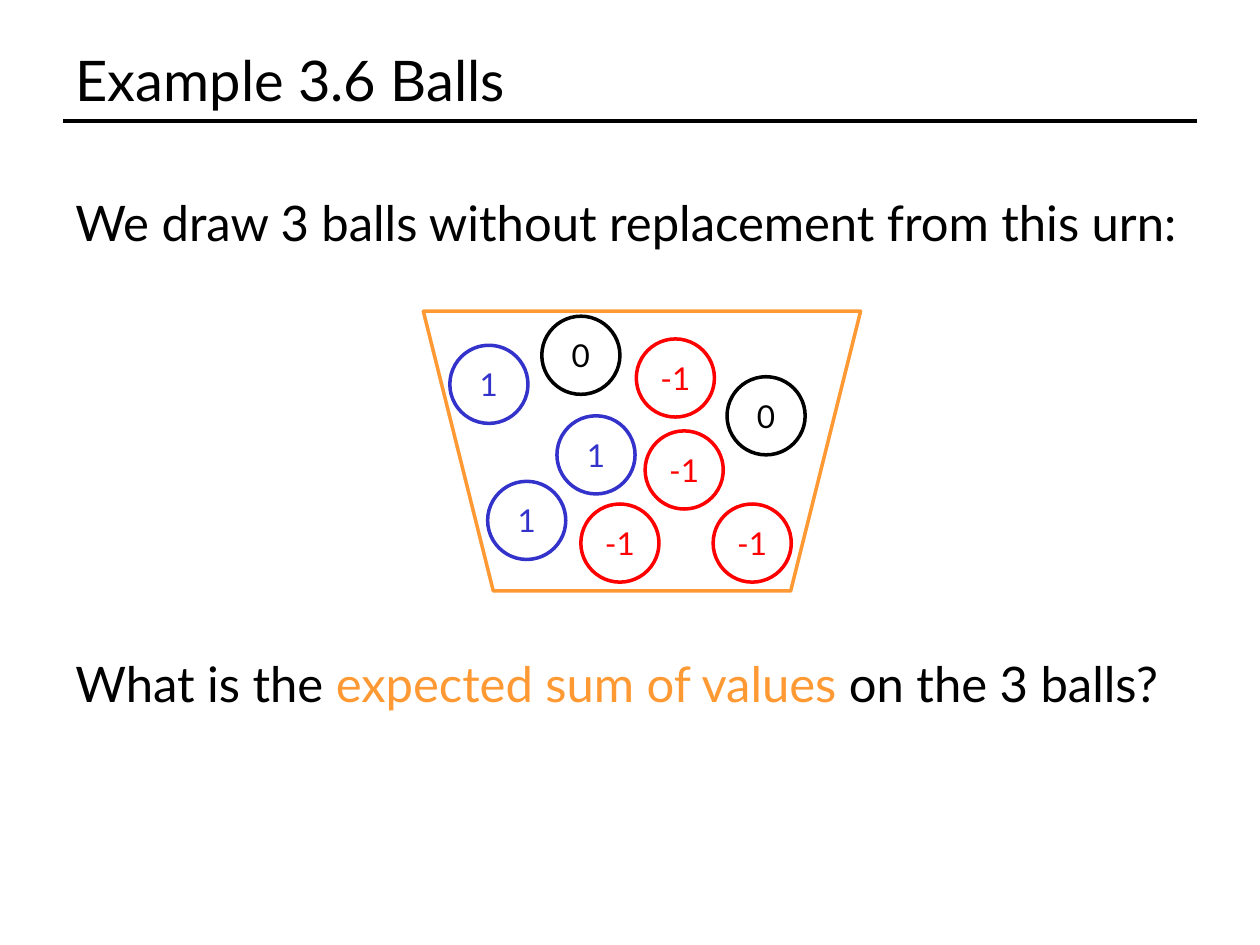
from pptx import Presentation
from pptx.dml.color import RGBColor
from pptx.enum.shapes import MSO_CONNECTOR, MSO_SHAPE
from pptx.enum.text import MSO_ANCHOR, MSO_AUTO_SIZE, PP_ALIGN
from pptx.oxml.ns import qn
from pptx.util import Inches, Pt
from lxml import etree

LINE = MSO_CONNECTOR.STRAIGHT
OVAL, URN = MSO_SHAPE.OVAL, MSO_SHAPE.TRAPEZOID
MIDDLE, GROW = MSO_ANCHOR.MIDDLE, MSO_AUTO_SIZE.SHAPE_TO_FIT_TEXT
LEFT, CENTER = PP_ALIGN.LEFT, PP_ALIGN.CENTER

FONT = "Lato"
BLACK, RED, BLUE, ORANGE = "000000", "FF0000", "3333CC", "FF9933"
EDGE, WIDE, BALL = 0.5, 9, 0.62

TITLE = "Example 3.6 Balls"
SETUP = [("We draw 3 balls without replacement from this urn:", BLACK)]
ASK = [
    ("What is the ", BLACK),
    ("expected sum of values", ORANGE),
    (" on the 3 balls?", BLACK),
]
TINTS = {"-1": RED, "0": BLACK, "1": BLUE}
BALLS = [
    ("-1", 4.61, 4), ("1", 3.57, 2.74), ("1", 3.87, 3.82),
    ("1", 4.42, 3.3), ("-1", 5.05, 2.69), ("-1", 5.66, 4),
    ("0", 5.77, 2.99), ("0", 4.3, 2.51), ("-1", 5.12, 3.42),
]


def tint(code):
    return RGBColor.from_string(code)


def box(*sides):
    return [Inches(side) for side in sides]


def write(para, parts, size, align):
    para.alignment = align
    for text, color in parts:
        run = para.add_run()
        run.text = text
        run.font.name = FONT
        run.font.size = Pt(size)
        run.font.color.rgb = tint(color)


def add_text(slide, top, parts):
    frame = slide.shapes.add_textbox(*box(EDGE, top, WIDE, 0.57)).text_frame
    frame.word_wrap = True
    frame.auto_size = GROW
    write(frame.paragraphs[0], parts, 28, LEFT)


def add_shape(slide, kind, place, color):
    shape = slide.shapes.add_shape(kind, *box(*place))
    shape.shadow.inherit = False
    shape.fill.background()
    shape.line.color.rgb = tint(color)
    shape.line.width = Pt(2)
    return shape


def add_ball(slide, text, left, top):
    color = TINTS[text]
    ball = add_shape(slide, OVAL, (left, top, BALL, BALL), color)
    frame = ball.text_frame
    frame.vertical_anchor = MIDDLE
    write(frame.paragraphs[0], [(text, color)], 18, CENTER)


def add_title(slide):
    title = slide.shapes.title
    title.left, title.top, title.width, title.height = box(EDGE, 0.3, WIDE, 0.66)
    title.text_frame.vertical_anchor = MIDDLE
    write(title.text_frame.paragraphs[0], [(TITLE, BLACK)], 32, LEFT)
    rule = slide.shapes.add_connector(LINE, *box(EDGE, 0.96, EDGE + WIDE, 0.96))
    rule.line.color.rgb = tint(BLACK)
    rule.line.width = Pt(2)
    etree.SubElement(rule._element.spPr, qn("a:effectLst"))


def main():
    deck = Presentation()
    deck.slide_width, deck.slide_height = box(10, 7.5)
    slide = deck.slides.add_slide(deck.slide_layouts[5])
    add_title(slide)
    add_text(slide, 1.48, SETUP)
    urn = add_shape(slide, URN, (3.36, 2.47, 3.47, 2.22), ORANGE)
    urn.rotation = 180
    for ball in BALLS:
        add_ball(slide, *ball)
    add_text(slide, 5.14, ASK)
    deck.save("out.pptx")


if __name__ == "__main__":
    main()
